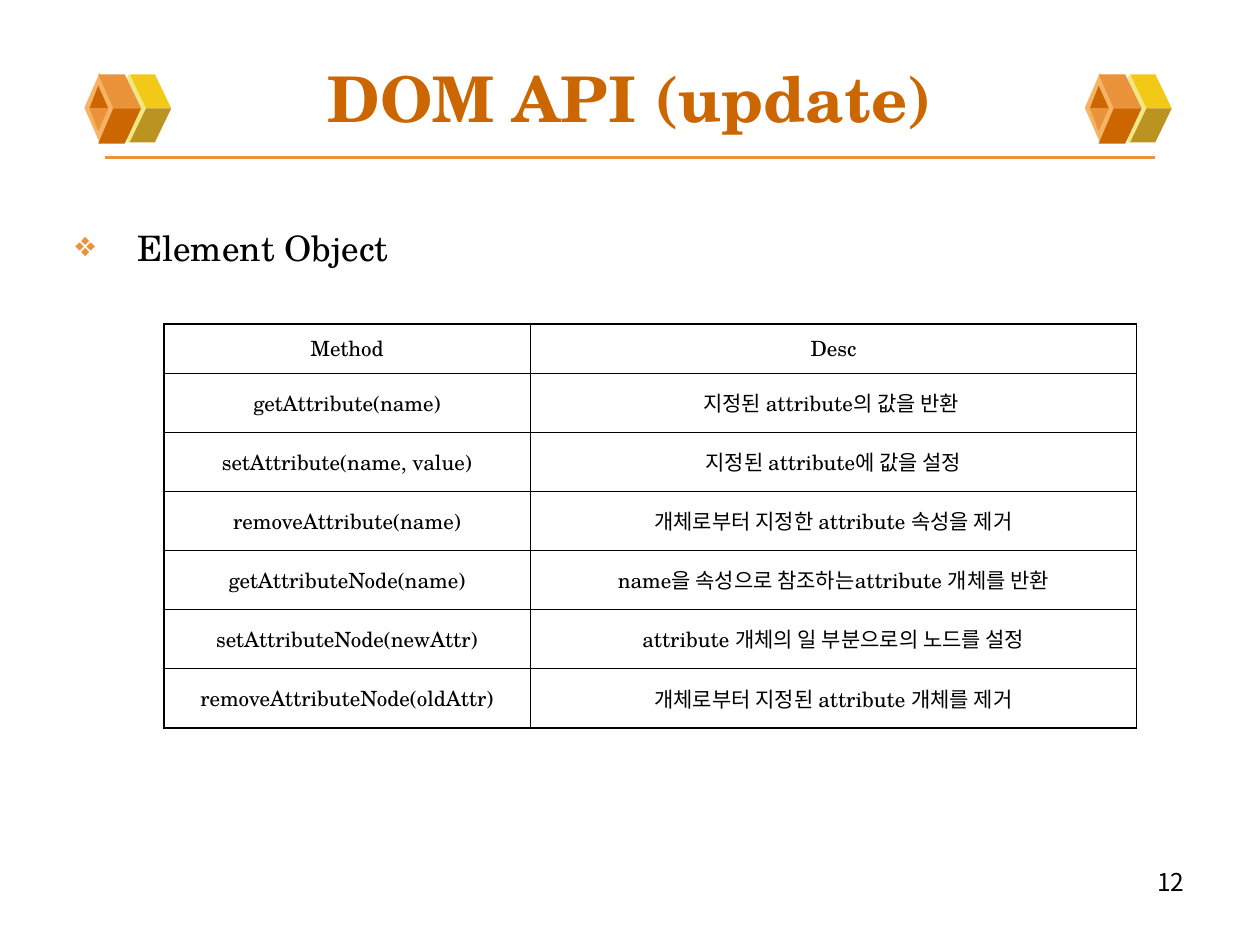
from lxml import etree
from pptx import Presentation
from pptx.dml.color import RGBColor
from pptx.enum.shapes import MSO_CONNECTOR, MSO_SHAPE
from pptx.enum.text import MSO_ANCHOR, PP_ALIGN
from pptx.oxml.ns import qn
from pptx.util import Inches, Pt

LEFT, CENTER, RIGHT = PP_ALIGN.LEFT, PP_ALIGN.CENTER, PP_ALIGN.RIGHT
MIDDLE = MSO_ANCHOR.MIDDLE
DIAMOND = MSO_SHAPE.DIAMOND
STRAIGHT = MSO_CONNECTOR.STRAIGHT
SERIF, SANS = "TeX Gyre Schola", "Noto Sans CJK KR"
COLORS = {
    "black": "000000", "rust": "CC6600", "orange": "EB933B", "peach": "F5B363",
    "cream": "F1E785", "yellow": "F3C917", "olive": "BB9321",
}


def write_text(frame, text, size, font=SERIF, color="black", bold=False,
               align=LEFT, before=0):
    frame.word_wrap = True
    paragraph = frame.paragraphs[0]
    paragraph.alignment = align
    paragraph.space_before = Pt(before)
    run = paragraph.add_run()
    run.text = text
    run.font.size = Pt(size)
    run.font.bold = bold
    run.font.name = font
    run.font.color.rgb = RGBColor.from_string(COLORS[color])
    etree.SubElement(run._r.get_or_add_rPr(), qn("a:ea"), typeface=SANS)
    return paragraph


def paint(shape, color):
    shape.shadow.inherit = False
    shape.fill.solid()
    shape.fill.fore_color.rgb = RGBColor.from_string(COLORS[color])
    shape.line.fill.background()


prs = Presentation()
prs.slide_width, prs.slide_height = Inches(10), Inches(7.5)
slide = prs.slides.add_slide(prs.slide_layouts[5])
shapes = slide.shapes

# Rule under the title
rule = shapes.add_connector(STRAIGHT, Inches(0.83), Inches(1.25), Inches(9.17), Inches(1.25))
rule.line.color.rgb = RGBColor.from_string(COLORS["orange"])
rule.line.width = Pt(2.25)
etree.SubElement(rule._element.spPr, qn("a:effectLst"))

# Cube ornaments: two diamonds, each followed by the facets lying on it
CUBE = [
    ("cream", (0.86, 0.59, 0.33, 0.55), [
        ("yellow", [(1.16, 0.86), (1.36, 0.86), (1.23, 0.59), (1.03, 0.59)]),
        ("olive", [(1.16, 0.86), (1.36, 0.86), (1.23, 1.13), (1.03, 1.13)]),
    ]),
    ("peach", (0.67, 0.58, 0.24, 0.55), [
        ("orange", [(0.9, 0.86), (1.12, 0.86), (0.99, 0.59), (0.78, 0.59)]),
        ("rust", [(0.9, 0.86), (1.12, 0.86), (0.99, 1.14), (0.78, 1.14)]),
        ("rust", [(0.78, 0.68), (0.71, 0.86), (0.86, 0.86)]),
        ("orange", [(0.78, 1.04), (0.71, 0.86), (0.86, 0.86)]),
    ]),
]
for shift in (0, 7.94):
    for diamond_color, (x, y, w, h), facets in CUBE:
        diamond = shapes.add_shape(DIAMOND, Inches(x + shift), Inches(y), Inches(w), Inches(h))
        paint(diamond, diamond_color)
        for facet_color, points in facets:
            corners = [(Inches(px + shift), Inches(py)) for px, py in points]
            outline = shapes.build_freeform(*corners[0])
            outline.add_line_segments(corners[1:], close=True)
            paint(outline.convert_to_shape(), facet_color)

# Title
title = shapes.title
title.left, title.top, title.width, title.height = (
    Inches(0.5), Inches(0.3), Inches(9), Inches(0.95))
title.text_frame.vertical_anchor = MIDDLE
write_text(title.text_frame, "DOM API (update)", 36, color="rust", bold=True, align=CENTER)

# Bulleted heading
heading = shapes.add_textbox(Inches(0.5), Inches(1.75), Inches(8.99), Inches(0.55))
bullet_line = write_text(heading.text_frame, "Element Object", 20, before=5)
pPr = bullet_line._p.get_or_add_pPr()
pPr.set("marL", str(Inches(0.49)))
pPr.set("indent", str(-Inches(0.49)))
bullet_color = etree.SubElement(pPr, qn("a:buClr"))
etree.SubElement(bullet_color, qn("a:srgbClr"), val=COLORS["orange"])
etree.SubElement(pPr, qn("a:buChar"), char="❖")

# Method table
METHODS = [
    ("Method", "Desc"),
    ("getAttribute(name)", "지정된 attribute의 값을 반환 "),
    ("setAttribute(name, value)", "지정된 attribute에 값을 설정"),
    ("removeAttribute(name)", "개체로부터 지정한 attribute 속성을 제거"),
    ("getAttributeNode(name)", "name을 속성으로 참조하는attribute 개체를 반환"),
    ("setAttributeNode(newAttr)", "attribute 개체의 일 부분으로의 노드를 설정"),
    ("removeAttributeNode(oldAttr)", "개체로부터 지정된 attribute 개체를 제거"),
]
OUTER, INNER = Pt(1.08), Pt(0.45)
last_row, last_col = len(METHODS) - 1, 1
table = shapes.add_table(len(METHODS), 2, Inches(1.3), Inches(2.57),
                         Inches(7.72), Inches(3.22)).table
table.first_row = table.horz_banding = False
table.columns[0].width, table.columns[1].width = Inches(2.91), Inches(4.81)
for r, entry in enumerate(METHODS):
    table.rows[r].height = Inches(0.47 if r else 0.39)
    for c, text in enumerate(entry):
        cell = table.cell(r, c)
        cell.fill.background()
        cell.vertical_anchor = MIDDLE
        write_text(cell.text_frame, text, 12, align=CENTER, before=3)
        edges = {"a:lnL": c == 0, "a:lnR": c == last_col,
                 "a:lnT": r == 0, "a:lnB": r == last_row}
        tcPr = cell._tc.get_or_add_tcPr()
        for position, (edge, is_outer) in enumerate(edges.items()):
            border = etree.Element(qn(edge), w=str(OUTER if is_outer else INNER))
            ink = etree.SubElement(border, qn("a:solidFill"))
            etree.SubElement(ink, qn("a:srgbClr"), val=COLORS["black"])
            tcPr.insert(position, border)

# Page number
page_number = shapes.add_textbox(Inches(7.17), Inches(6.83), Inches(2.33), Inches(0.3))
write_text(page_number.text_frame, "12", 14, font=SANS, align=RIGHT)

prs.save("out.pptx")
